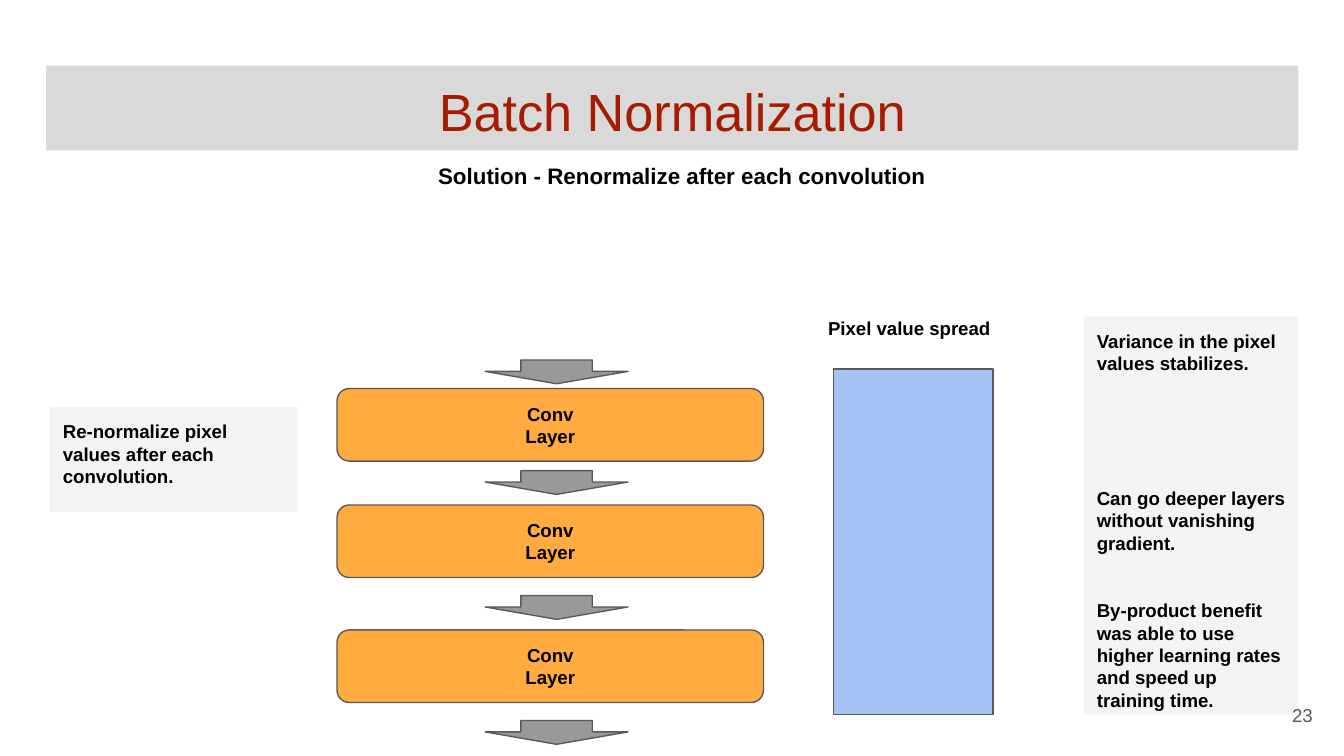
from dataclasses import dataclass

from pptx import Presentation
from pptx.dml.color import RGBColor
from pptx.enum.shapes import MSO_SHAPE as Preset
from pptx.enum.text import MSO_ANCHOR as Anchor, MSO_AUTO_SIZE as AutoSize, PP_ALIGN as Align
from pptx.util import Cm, Pt


@dataclass(frozen=True)
class Theme:
    font: str = "Arial"
    title: str = "A61C00"
    banner: str = "D9D9D9"
    text: str = "000000"
    note: str = "F3F3F3"
    layer: str = "FFAB40"
    arrow: str = "999999"
    spread: str = "A4C2F4"
    outline: str = "595959"
    title_size: int = 28
    subtitle_size: int = 12
    body_size: int = 10
    outline_width: float = 0.75


@dataclass(frozen=True)
class Box:
    """A rectangle in centimetres."""
    left: float
    top: float
    width: float
    height: float

    def inner(self, left, top, width, height):
        return Box(self.left + left, self.top + top, width, height)

    def lengths(self):
        return Cm(self.left), Cm(self.top), Cm(self.width), Cm(self.height)


THEME = Theme()


def rgb(value):
    return RGBColor.from_string(value)


def write(shape, lines, size=THEME.body_size, color=THEME.text, bold=True,
          align=Align.LEFT, anchor=Anchor.TOP, gaps=()):
    """Write one paragraph a line; gaps are the points before each one after the first."""
    frame = shape.text_frame
    frame.word_wrap = True
    frame.auto_size = AutoSize.NONE
    frame.vertical_anchor = anchor
    frame.margin_left = frame.margin_right = Cm(0.25)
    frame.margin_top = frame.margin_bottom = Cm(0.25)
    frame.text = "\n".join(lines)
    for paragraph in frame.paragraphs:
        paragraph.alignment = align
        font = paragraph.font
        font.name, font.size, font.bold = THEME.font, Pt(size), bold
        font.color.rgb = rgb(color)
    for paragraph, gap in zip(frame.paragraphs[1:], gaps):
        paragraph.space_before = Pt(gap)


def add_block(slide, preset, box, fill, outlined=True):
    shape = slide.shapes.add_shape(preset, *box.lengths())
    shape.shadow.inherit = False
    shape.fill.solid()
    shape.fill.fore_color.rgb = rgb(fill)
    if outlined:
        shape.line.color.rgb = rgb(THEME.outline)
        shape.line.width = Pt(THEME.outline_width)
    else:
        shape.line.fill.background()
    return shape


def add_label(slide, box, text, **style):
    write(slide.shapes.add_textbox(*box.lengths()), [text], **style)


def add_note(slide, box, lines, gaps=()):
    write(add_block(slide, Preset.RECTANGLE, box, THEME.note, outlined=False), lines, gaps=gaps)


def add_header(slide, box):
    title = slide.shapes.title
    title.left, title.top, title.width, title.height = box.inner(0, 0, box.width, 1.6).lengths()
    title.fill.solid()
    title.fill.fore_color.rgb = rgb(THEME.banner)
    write(title, ["Batch Normalization"], size=THEME.title_size, color=THEME.title,
          bold=False, align=Align.CENTER)
    add_label(slide, box.inner(7.16, 1.58, 11.2, 1.09),
              "Solution - Renormalize after each convolution", size=THEME.subtitle_size)


def add_arrow(slide, box):
    arrow = add_block(slide, Preset.DOWN_ARROW, box, THEME.arrow)
    arrow.adjustments[0], arrow.adjustments[1] = 0.5, 0.52


def add_layer_stack(slide, box):
    """Convolution layers, each under an arrow, with a last arrow leading out."""
    pitch, first_pitch = 2.36, 2.09
    arrow_tops = [0] + [first_pitch + pitch * step for step in range(3)]
    layer_tops = [0.54, 2.74, 2.74 + pitch]
    for top in arrow_tops:
        add_arrow(slide, box.inner(2.8, top, 2.7, 0.45))
    for top in layer_tops:
        layer = add_block(slide, Preset.ROUNDED_RECTANGLE,
                          box.inner(0, top, box.width, 1.37), THEME.layer)
        layer.adjustments[0] = 0.17
        write(layer, ["Conv", "Layer"], align=Align.CENTER, anchor=Anchor.MIDDLE)


def add_spread(slide, box):
    add_label(slide, box.inner(0, 0, box.width, 0.72), "Pixel value spread")
    add_block(slide, Preset.RECTANGLE, box.inner(0.35, 1.23, 3.02, 6.53), THEME.spread)


def main():
    presentation = Presentation()
    presentation.slide_width, presentation.slide_height = Cm(25.4), Cm(14.28)
    slide = presentation.slides.add_slide(presentation.slide_layouts.get_by_name("Title Only"))

    add_header(slide, Box(0.87, 1.24, 23.67, 2.67))
    add_note(slide, Box(0.94, 7.69, 4.68, 1.98),
             ["Re-normalize pixel values after each convolution."])
    add_layer_stack(slide, Box(6.37, 6.8, 8.06, 7.27))
    add_spread(slide, Box(15.4, 5.74, 4.68, 7.76))
    add_note(slide, Box(20.48, 5.98, 4.06, 7.52),
             ["Variance in the pixel values stabilizes.",
              "Can go deeper layers without vanishing gradient.",
              "By-product benefit was able to use higher learning rates and speed up training time."],
             gaps=(60, 24))
    add_label(slide, Box(23.54, 12.96, 1.52, 1.09), "23", color=THEME.outline, bold=False,
              align=Align.RIGHT, anchor=Anchor.MIDDLE)

    presentation.save("out.pptx")


if __name__ == "__main__":
    main()
